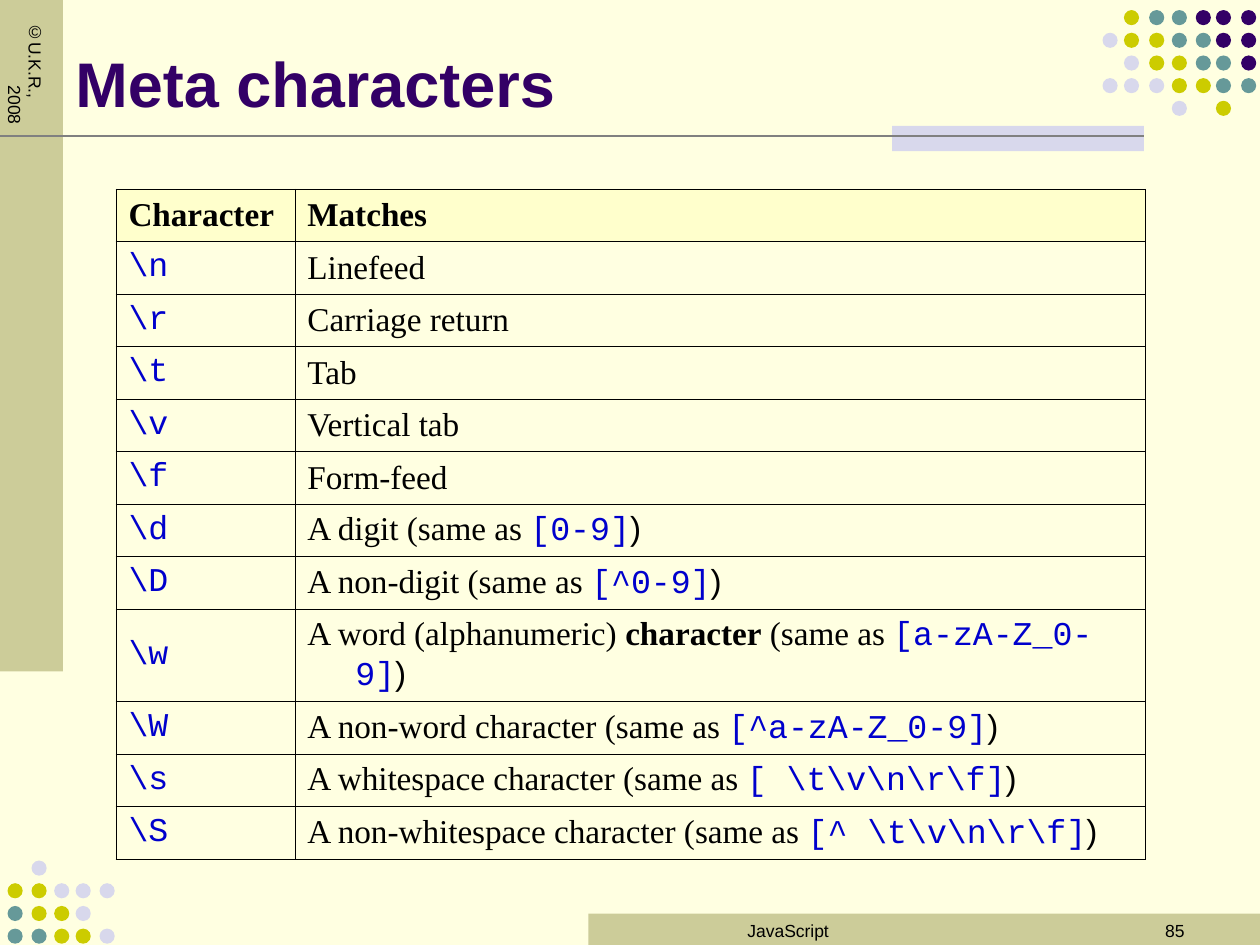
from lxml import etree
from pptx import Presentation
from pptx.dml.color import RGBColor
from pptx.enum.shapes import MSO_CONNECTOR, MSO_SHAPE
from pptx.enum.text import MSO_ANCHOR, PP_ALIGN
from pptx.oxml.ns import qn
from pptx.util import Inches, Pt

RECTANGLE, OVAL = MSO_SHAPE.RECTANGLE, MSO_SHAPE.OVAL
STRAIGHT = MSO_CONNECTOR.STRAIGHT
TOP, MIDDLE, BOTTOM = MSO_ANCHOR.TOP, MSO_ANCHOR.MIDDLE, MSO_ANCHOR.BOTTOM
LEFT, CENTER, RIGHT = PP_ALIGN.LEFT, PP_ALIGN.CENTER, PP_ALIGN.RIGHT

THEME = {
    "page": "FFFFE1", "band": "CCCC99", "accent": "D8D8EC", "rule": "808080",
    "header": "FFFFCC", "border": "000000",
    "dots": {"P": "330066", "T": "669999", "Y": "CCCC00", "L": "D8D8EC"},
    "spans": {
        "title": {"name": "Arial", "size": 36, "bold": True, "color": "330066"},
        "small": {"name": "Arial", "size": 10, "bold": False, "color": "000000"},
        "text": {"name": "Times New Roman", "size": 19, "bold": False, "color": "000000"},
        "strong": {"name": "Times New Roman", "size": 19, "bold": True, "color": "000000"},
        "code": {"name": "Courier New", "size": 19, "bold": False, "color": "0000CC"},
        "close": {"name": "Arial", "size": 19, "bold": False, "color": "000000"},
    },
}


def same_as(code, *lead):
    """Spans of a description that ends with an equivalent character class."""
    return [*lead, (code, "code"), (")", "close")]


HEADINGS = ["Character", "Matches"]
META_CHARACTERS = [
    (r"\n", [("Linefeed", "text")]),
    (r"\r", [("Carriage return", "text")]),
    (r"\t", [("Tab", "text")]),
    (r"\v", [("Vertical tab", "text")]),
    (r"\f", [("Form-feed", "text")]),
    (r"\d", same_as("[0-9]", ("A digit (same as ", "text"))),
    (r"\D", same_as("[^0-9]", ("A non-digit (same as ", "text"))),
    (r"\w", same_as("[a-zA-Z_0-9]", ("A word (alphanumeric) ", "text"),
                    ("character", "strong"), (" (same as ", "text"))),
    (r"\W", same_as("[^a-zA-Z_0-9]", ("A non-word character (same as ", "text"))),
    (r"\s", same_as(r"[ \t\v\n\r\f]", ("A whitespace character (same as ", "text"))),
    (r"\S", same_as(r"[^ \t\v\n\r\f]", ("A non-whitespace character (same as ", "text"))),
]
COLUMN_WIDTHS = [1.42, 6.75]
ROW_HEIGHT = 5 / 12

# text, style, box (left, top, width, height), alignment, anchor
LABELS = [
    ("JavaScript", "small", (4.67, 7.25, 3.17, 0.5), CENTER, TOP),
    ("85", "small", (7.17, 7.25, 2.33, 0.5), RIGHT, TOP),
    ("Meta characters", "title", (0.5, 0.13, 8.25, 0.87), LEFT, BOTTOM),
]
COPYRIGHT = ("©U.K.R., 2008", "small", (0.25, 0.08, 0.17, 1.08), LEFT, TOP)

DOT_SIZE = 0.12
DOT_ROW_GAP = 0.18
TOP_DOTS = {
    "columns": [8.75, 8.92, 9.12, 9.3, 9.49, 9.65, 9.85], "top": 0.08,
    "rows": [".YTTPPP", "LYYTTPP", ".LYYTTP", "LLLYYTT", "...L.Y."],
}
BOTTOM_DOTS = {
    "columns": [0.06, 0.25, 0.43, 0.6, 0.79], "top": 6.83,
    "rows": [".L...", "YYLLL", "TYYL.", "TTYYL"],
}


def rgb(value):
    return RGBColor.from_string(value)


def inches(values):
    return [Inches(value) for value in values]


def add_shape(shapes, kind, place, color):
    shape = shapes.add_shape(kind, *inches(place))
    shape.shadow.inherit = False
    shape.fill.solid()
    shape.fill.fore_color.rgb = rgb(color)
    shape.line.fill.background()


def add_dots(page, pattern):
    group = page.shapes.add_group_shape()
    for row, letters in enumerate(pattern["rows"]):
        top = pattern["top"] + row * DOT_ROW_GAP
        for left, letter in zip(pattern["columns"], letters):
            if letter in THEME["dots"]:
                add_shape(group.shapes, OVAL, (left, top, DOT_SIZE, DOT_SIZE),
                          THEME["dots"][letter])


def add_title_rule(page):
    group = page.shapes.add_group_shape()
    add_shape(group.shapes, RECTANGLE, (7.08, 1, 2, 0.2), THEME["accent"])
    rule = group.shapes.add_connector(STRAIGHT, *inches((0, 1.08, 9.08, 1.08)))
    rule.line.color.rgb = rgb(THEME["rule"])
    rule.line.width = Pt(1.5)
    etree.SubElement(rule._element.spPr, qn("a:effectLst"))


def add_spans(para, spans):
    for text, style in spans:
        span = para.add_run()
        span.text = text
        values = dict(THEME["spans"][style])
        span.font.color.rgb = rgb(values.pop("color"))
        values["size"] = Pt(values["size"])
        for name, value in values.items():
            setattr(span.font, name, value)


def hang(para, depth):
    """Indent every line after the first by depth inches."""
    properties = para._p.get_or_add_pPr()
    properties.set("marL", str(Inches(depth)))
    properties.set("indent", str(-Inches(depth)))


def add_label(page, text, style, place, alignment, anchor):
    box = page.shapes.add_textbox(*inches(place))
    frame = box.text_frame
    frame.word_wrap = True
    frame.vertical_anchor = anchor
    frame.paragraphs[0].alignment = alignment
    add_spans(frame.paragraphs[0], [(text, style)])
    return frame


def add_copyright(page):
    frame = add_label(page, *COPYRIGHT)
    frame._txBody.bodyPr.set("vert", "eaVert")
    frame.margin_left = frame.margin_right = Inches(0.05)
    frame.margin_top = frame.margin_bottom = Inches(0.1)
    hang(frame.paragraphs[0], 0.5)


def add_borders(cell):
    properties = cell._tc.get_or_add_tcPr()
    for side in ("lnL", "lnR", "lnT", "lnB"):
        line = etree.SubElement(properties, qn(f"a:{side}"), w=str(Pt(0.34)))
        fill = etree.SubElement(line, qn("a:solidFill"))
        etree.SubElement(fill, qn("a:srgbClr"), val=THEME["border"])


def fill_cell(cell, spans, color):
    cell.vertical_anchor = MIDDLE
    add_borders(cell)
    if color:
        cell.fill.solid()
        cell.fill.fore_color.rgb = rgb(color)
    else:
        cell.fill.background()
    para = cell.text_frame.paragraphs[0]
    hang(para, 0.38)
    add_spans(para, spans)


def add_meta_table(page):
    rows = [[[(heading, "strong")] for heading in HEADINGS]]
    rows += [[[(code, "code")], meaning] for code, meaning in META_CHARACTERS]
    place = (0.92, 1.5, sum(COLUMN_WIDTHS), ROW_HEIGHT * len(rows))
    table = page.shapes.add_table(len(rows), len(HEADINGS), *inches(place)).table
    table.first_row = table.horz_banding = False
    for column, width in zip(table.columns, COLUMN_WIDTHS):
        column.width = Inches(width)
    for r, row in enumerate(rows):
        for c, spans in enumerate(row):
            fill_cell(table.cell(r, c), spans, THEME["header"] if r == 0 else None)


def main():
    deck = Presentation()
    deck.slide_width, deck.slide_height = inches((10, 7.5))
    page = deck.slides.add_slide(deck.slide_layouts[6])
    page.background.fill.solid()
    page.background.fill.fore_color.rgb = rgb(THEME["page"])

    add_shape(page.shapes, RECTANGLE, (4.67, 7.25, 5.33, 0.25), THEME["band"])
    add_dots(page, TOP_DOTS)
    add_shape(page.shapes, RECTANGLE, (0, 0, 0.5, 5.33), THEME["band"])
    add_title_rule(page)
    add_copyright(page)
    add_dots(page, BOTTOM_DOTS)
    for label in LABELS:
        add_label(page, *label)
    add_meta_table(page)
    deck.save("out.pptx")


if __name__ == "__main__":
    main()
